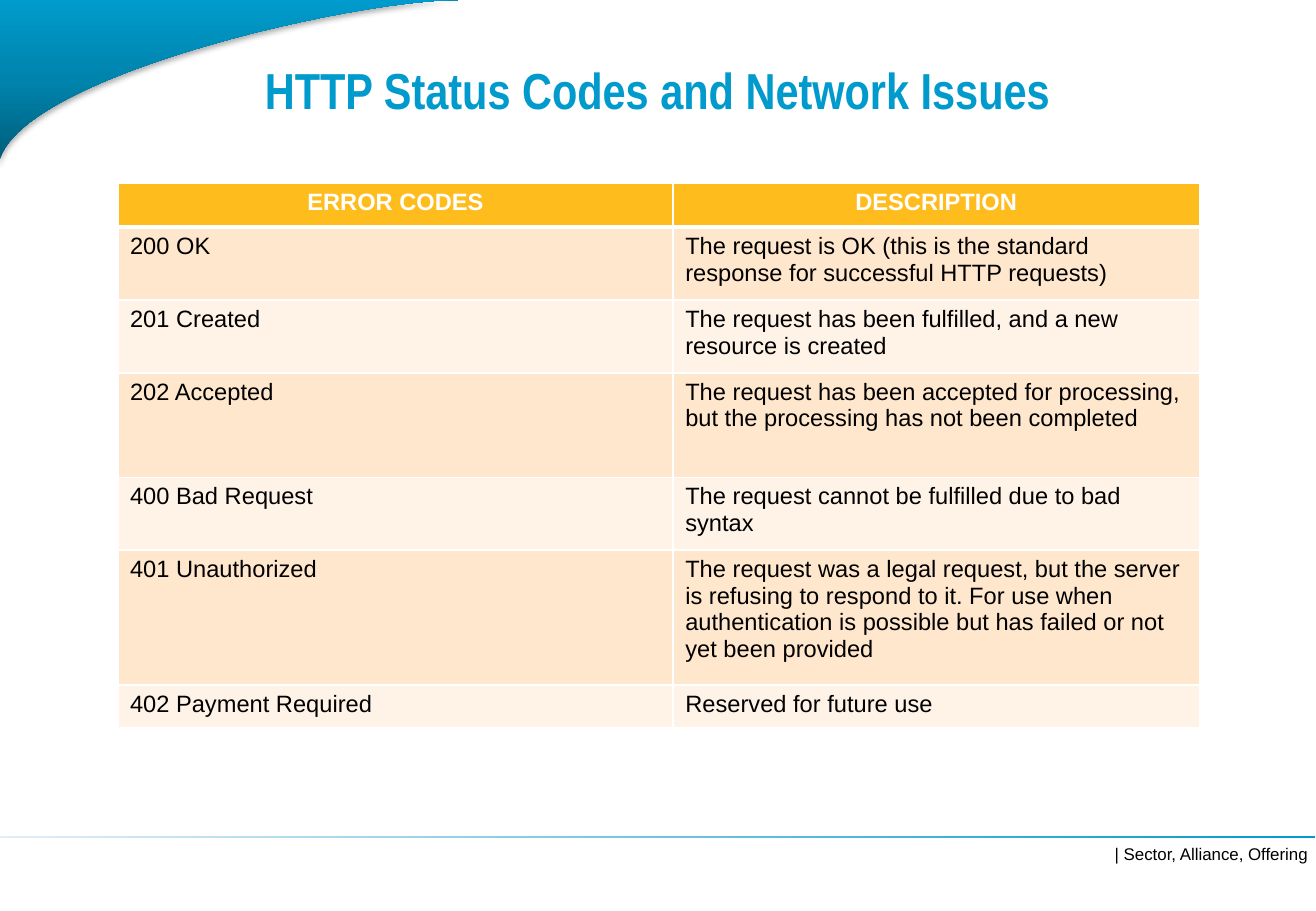
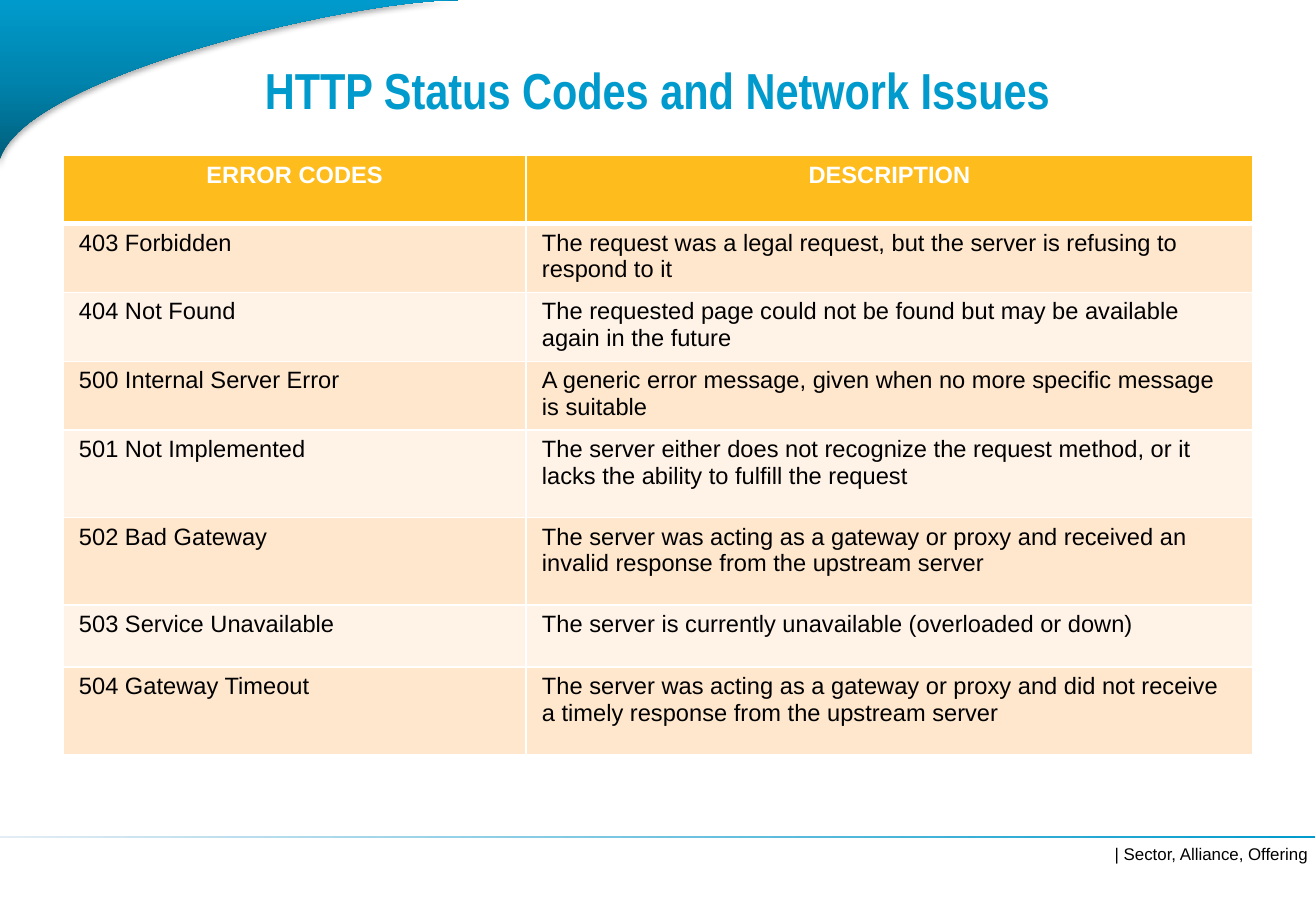
from copy import deepcopy

from lxml.etree import SubElement
from pptx import Presentation
from pptx.dml.color import RGBColor
from pptx.enum.shapes import MSO_SHAPE
from pptx.enum.text import MSO_ANCHOR, PP_ALIGN
from pptx.oxml import parse_xml
from pptx.oxml.ns import nsdecls, qn
from pptx.util import Inches, Pt

# Shared look
SLIDE_WIDTH, SLIDE_HEIGHT = 10.83, 7.5
BLUE, MID_BLUE, DARK_BLUE, PALE_BLUE = "009BCC", "0083AC", "005C79", "E4EDF5"
AMBER, BANDS = "FFBC1D", ("FFE7CD", "FFF3E8")
WHITE, BLACK = "FFFFFF", "000000"
BODY_FONT, TITLE_FONT = "Arial", "Arial Narrow"
TITLE = "HTTP Status Codes and Network Issues"
FOOTER = "| Sector, Alliance, Offering"
HEADER = ("ERROR CODES", "DESCRIPTION")
CURVE_STEPS = 48

# Table contents
FIRST_CODES = [
    ("200 OK", "The request is OK (this is the standard response for successful HTTP requests)"),
    ("201 Created", "The request has been fulfilled, and a new resource is created"),
    ("202 Accepted", "The request has been accepted for processing, "
                     "but the processing has not been completed"),
    ("400 Bad Request", "The request cannot be fulfilled due to bad syntax"),
    ("401 Unauthorized", "The request was a legal request, but the server is refusing to "
                         "respond to it. For use when authentication is possible but has "
                         "failed or not yet been provided"),
    ("402 Payment Required", "Reserved for future use"),
]
SECOND_CODES = [
    ("403 Forbidden", "The request was a legal request, but the server is refusing "
                      "to respond to it"),
    ("404 Not Found", "The requested page could not be found but may be available "
                      "again in the future"),
    ("500 Internal Server Error", "A generic error message, given when no more specific "
                                  "message is suitable"),
    ("501 Not Implemented", "The server either does not recognize the request method, "
                            "or it lacks the ability to fulfill the request"),
    ("502 Bad Gateway", "The server was acting as a gateway or proxy and received "
                        "an invalid response from the upstream server"),
    ("503 Service Unavailable", "The server is currently unavailable (overloaded or down)"),
    ("504 Gateway Timeout", "The server was acting as a gateway or proxy and did not "
                            "receive a timely response from the upstream server"),
]


def rgb(value):
    return RGBColor.from_string(value)


def style_text(paragraph, size, color, font=BODY_FONT, bold=False, align=PP_ALIGN.LEFT):
    paragraph.alignment = align
    for run in paragraph.runs:
        run.font.size = Pt(size)
        run.font.name = font
        run.font.bold = bold
        run.font.color.rgb = rgb(color)


def set_margins(target, margins):
    left, top, right, bottom = map(Inches, margins)
    target.margin_left, target.margin_top = left, top
    target.margin_right, target.margin_bottom = right, bottom


def add_text(slide, box, text, margins, anchor=MSO_ANCHOR.TOP, **style):
    text_frame = slide.shapes.add_textbox(*map(Inches, box)).text_frame
    text_frame.word_wrap = True
    text_frame.vertical_anchor = anchor
    set_margins(text_frame, margins)
    text_frame.text = text
    style_text(text_frame.paragraphs[0], **style)
    return text_frame.paragraphs[0]


def fill_gradient(shape, colors, angle):
    """Spread the colours evenly along the given counter-clockwise angle."""
    shape.line.fill.background()
    shape.shadow.inherit = False
    shape.fill.gradient()
    shape.fill.gradient_angle = angle
    stop_list = shape.element.spPr.find(".//" + qn("a:gsLst"))
    for _ in colors[2:]:
        stop_list.append(deepcopy(stop_list[-1]))
    for index, (stop, color) in enumerate(zip(shape.fill.gradient_stops, colors)):
        stop.position = index / (len(colors) - 1)
        stop.color.rgb = rgb(color)


def add_soft_shadow(shape):
    effects = shape.element.spPr.find(qn("a:effectLst"))
    effects.append(parse_xml(
        f'<a:outerShdw {nsdecls("a")} blurRad="{Pt(3.5)}" dist="{Pt(2.2)}" dir="5400000" '
        f'rotWithShape="0"><a:srgbClr val="{BLACK}"><a:alpha val="32000"/></a:srgbClr>'
        '</a:outerShdw>'))


def curve_point(points, t):
    """Point on a cubic curve at t between 0 and 1."""
    weights = ((1 - t) ** 3, 3 * t * (1 - t) ** 2, 3 * t ** 2 * (1 - t), t ** 3)
    return tuple(Inches(sum(w * p[axis] for w, p in zip(weights, points))) for axis in (0, 1))


def add_corner(slide):
    edge = ((-0.01, 1.35), (0.11, 0.64), (2.89, 0), (3.77, 0))
    builder = slide.shapes.build_freeform(Inches(-0.01), 0, scale=1.0)
    builder.add_line_segments(
        [curve_point(edge, step / CURVE_STEPS) for step in range(CURVE_STEPS + 1)])
    corner = builder.convert_to_shape()
    fill_gradient(corner, (DARK_BLUE, MID_BLUE, BLUE), 90)
    add_soft_shadow(corner)


def add_frame(slide):
    """Corner, rule, footer and title found on each slide."""
    add_text(slide, (8.97, 6.9, 1.87, 0.27), FOOTER, (0.04, 0.05, 0.08, 0.05),
             size=10, color=BLACK, align=PP_ALIGN.RIGHT)
    rule = slide.shapes.add_shape(
        MSO_SHAPE.RECTANGLE, *map(Inches, (-0.01, 6.88, SLIDE_WIDTH, 0.02)))
    fill_gradient(rule, (PALE_BLUE, BLUE), 0)
    add_corner(slide)
    title = add_text(slide, (0, 0, SLIDE_WIDTH, 1.3), TITLE, (0.08, 0.28, 0.08, 0.04),
                     MSO_ANCHOR.MIDDLE, size=30, color=BLUE, font=TITLE_FONT, bold=True,
                     align=PP_ALIGN.CENTER)
    title.line_spacing = 0.9


def set_borders(cell, top, bottom):
    properties = cell._tc.get_or_add_tcPr()
    for index, (side, width) in enumerate(zip("LRTB", (1, 1, top, bottom))):
        line = SubElement(properties, qn(f"a:ln{side}"), w=str(Pt(width)))
        SubElement(SubElement(line, qn("a:solidFill")), qn("a:srgbClr"), val=WHITE)
        properties.insert(index, line)


def add_code_table(slide, left, top, widths, heights, codes, side_margin):
    rows = [HEADER, *codes]
    table = slide.shapes.add_table(
        len(rows), len(widths), Inches(left), Inches(top),
        Inches(sum(widths)), Inches(sum(heights))).table
    for column, width in zip(table.columns, widths):
        column.width = Inches(width)
    for row_index, (row, height, texts) in enumerate(zip(table.rows, heights, rows)):
        row.height = Inches(height)
        is_header = row_index == 0
        for cell, text in zip(row.cells, texts):
            set_margins(cell, (side_margin, 0.05, side_margin, 0.05))
            cell.fill.solid()
            cell.fill.fore_color.rgb = rgb(AMBER if is_header else BANDS[(row_index - 1) % 2])
            set_borders(cell, 3 if row_index == 1 else 1, 3 if is_header else 1)
            cell.text_frame.text = text
            style_text(cell.text_frame.paragraphs[0], 14, WHITE if is_header else BLACK,
                       bold=is_header,
                       align=PP_ALIGN.CENTER if is_header else PP_ALIGN.LEFT)


def main():
    presentation = Presentation()
    presentation.slide_width = Inches(SLIDE_WIDTH)
    presentation.slide_height = Inches(SLIDE_HEIGHT)
    tables = [
        (0.97, 1.51, (4.57, 4.33), (0.36, 0.6, 0.6, 0.86, 0.6, 1.11, 0.35), FIRST_CODES, 0.1),
        (0.52, 1.28, (3.81, 5.98), (0.56, 0.51, 0.53, 0.53, 0.72, 0.72, 0.51, 0.72),
         SECOND_CODES, 0.13),
    ]
    for table in tables:
        slide = presentation.slides.add_slide(presentation.slide_layouts[6])
        add_frame(slide)
        add_code_table(slide, *table)
    presentation.save("out.pptx")


if __name__ == "__main__":
    main()
